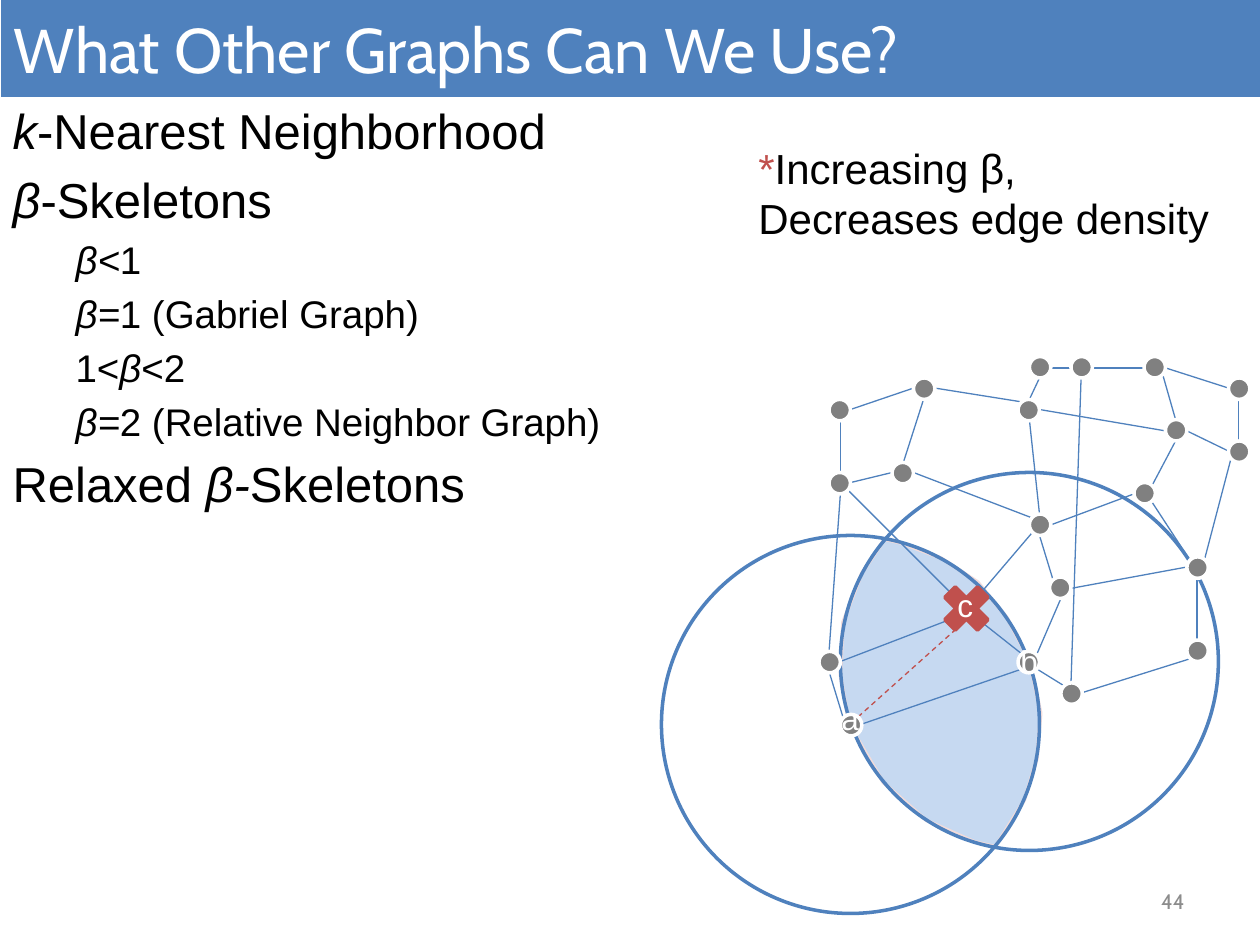
"""Build the slide about alternative neighborhood graphs."""
from lxml.etree import SubElement
from pptx import Presentation
from pptx.dml.color import RGBColor
from pptx.enum.dml import MSO_LINE
from pptx.enum.shapes import MSO_CONNECTOR, MSO_SHAPE
from pptx.enum.text import MSO_ANCHOR, MSO_AUTO_SIZE, PP_ALIGN
from pptx.oxml.ns import qn
from pptx.util import Inches, Pt

BLUE = RGBColor(0x4F, 0x81, 0xBD)
PALE_BLUE = RGBColor(0xC6, 0xD9, 0xF1)
PALE_RED = RGBColor(0xF2, 0xDC, 0xDB)
RED = RGBColor(0xC0, 0x50, 0x4D)
GRAY = RGBColor(0x80, 0x80, 0x80)
NUMBER_GRAY = RGBColor(0x8C, 0x8C, 0x8C)
WHITE = RGBColor(0xFF, 0xFF, 0xFF)
BLACK = RGBColor(0x00, 0x00, 0x00)


def add_span(paragraph, text, size=18, color=BLACK, font="Arial", italic=False):
    """Append a formatted run to a paragraph."""
    span = paragraph.add_run()
    span.text = text
    span.font.size = Pt(size)
    span.font.name = font
    span.font.italic = italic
    span.font.color.rgb = color


def paint(shape, fill, line):
    """Give a shape its fill and a two-point outline."""
    shape.shadow.inherit = False
    if fill is None:
        shape.fill.background()
    else:
        shape.fill.solid()
        shape.fill.fore_color.rgb = fill
    shape.line.color.rgb = line
    shape.line.width = Pt(2)


deck = Presentation()
deck.slide_width, deck.slide_height = Inches(10), Inches(7.5)
page = deck.slides.add_slide(deck.slide_layouts[1])
shapes = page.shapes

title = shapes.title
title.left, title.top = Inches(0.01), Inches(0)
title.width, title.height = Inches(10), Inches(0.77)
title.fill.solid()
title.fill.fore_color.rgb = BLUE
frame = title.text_frame
frame.auto_size = MSO_AUTO_SIZE.NONE
frame.vertical_anchor = MSO_ANCHOR.MIDDLE
frame.paragraphs[0].alignment = PP_ALIGN.LEFT
add_span(frame.paragraphs[0], "What Other Graphs Can We Use?", size=36, color=WHITE, font="Cabin")

OUTLINE = [
    (0, [("k", True), ("-Nearest Neighborhood", False)]),
    (0, [("β", True), ("-Skeletons", False)]),
    (1, [("β<", True), ("1", False)]),
    (1, [("β=", True), ("1 (Gabriel Graph)", False)]),
    (1, [("1<", False), ("β", True), ("<2", False)]),
    (1, [("β=", True), ("2 (Relative Neighbor Graph)", False)]),
    (0, [("Relaxed ", False), ("β-", True), ("Skeletons", False)]),
]
body = page.placeholders[1]
body.left, body.top = Inches(0), Inches(0.75)
body.width, body.height = Inches(10), Inches(3.48)
frame = body.text_frame
frame.auto_size = MSO_AUTO_SIZE.NONE
for index, (level, spans) in enumerate(OUTLINE):
    paragraph = frame.add_paragraph() if index else frame.paragraphs[0]
    paragraph.level = level
    properties = paragraph._p.get_or_add_pPr()
    properties.set("marL", str(Inches(0.38 + 0.5 * level)))
    properties.set("indent", str(Inches(-0.38)))
    SubElement(properties, qn("a:buNone"))
    if index == 0:
        paragraph.space_before = Pt(0)
    for text, italic in spans:
        add_span(paragraph, text, size=22 if level else 28, italic=italic)

LENS = [
    (7.02, 4.28), (6.84, 4.55), (6.69, 4.94), (6.67, 5.36), (6.74, 5.75), (7.01, 6.21),
    (7.35, 6.51), (7.73, 6.68), (7.9, 6.72), (8.13, 6.35), (8.23, 6.02), (8.26, 5.66),
    (8.17, 5.24), (7.99, 4.9), (7.76, 4.62), (7.47, 4.43), (7.15, 4.31),
]
points = [(Inches(x), Inches(y)) for x, y in LENS]
builder = shapes.build_freeform(*points[0])
builder.add_line_segments(points[1:], close=True)
paint(builder.convert_to_shape(), PALE_BLUE, PALE_RED)

EDGES = [
    (6.67, 3.33, 6.67, 3.75), (6.75, 3.25, 7.25, 3.08), (7.08, 3.75, 6.75, 3.83),
    (6.69, 5.69, 6.58, 5.33), (7.61, 4.89, 6.67, 5.25), (7.33, 3.17, 7.17, 3.67),
    (7.42, 3.08, 8.11, 3.19), (8.5, 2.92, 8.33, 2.92), (8.25, 3, 8.17, 3.17),
    (8.17, 3.33, 8.25, 4.08), (7.73, 4.89, 8.11, 5.19), (8.23, 5.31, 8.44, 5.44),
    (8.42, 4.75, 8.23, 5.19), (8.25, 4.25, 8.36, 4.61), (8.33, 4.17, 9, 3.92),
    (8.58, 5.5, 9.44, 5.23), (9.5, 4.58, 9.5, 5.08), (9.14, 3.98, 9.44, 4.44),
    (9.33, 3.5, 9.14, 3.86), (8.67, 2.92, 9.08, 2.92), (9.23, 2.98, 9.33, 3.33),
    (9.42, 3.42, 9.75, 3.58), (9.83, 3.17, 9.83, 3.5), (6.67, 3.92, 6.58, 5.17),
    (8.19, 4.11, 7.25, 3.75), (6.73, 3.89, 7.61, 4.77), (8.58, 3, 8.5, 5.42),
    (9.75, 3.08, 9.25, 2.92), (9.42, 4.5, 8.5, 4.67), (7.73, 4.77, 8.19, 4.23),
    (8.25, 3.25, 9.25, 3.42), (6.83, 5.75, 8.11, 5.31), (9.77, 3.64, 9.56, 4.44),
]
REMOVED_EDGE = (6.81, 5.69, 7.67, 4.92)
for edge in EDGES + [REMOVED_EDGE]:
    connector = shapes.add_connector(MSO_CONNECTOR.STRAIGHT, *map(Inches, edge))
    SubElement(connector._element.spPr, qn("a:effectLst"))
    connector.line.width = Pt(0.75)
    connector.line.color.rgb = BLUE
    if edge == REMOVED_EDGE:
        connector.line.color.rgb = RED
        connector.line.dash_style = MSO_LINE.DASH

for left, top in [(5.25, 4.25), (6.67, 3.75)]:
    circle = shapes.add_shape(MSO_SHAPE.OVAL, Inches(left), Inches(top), Inches(3), Inches(3))
    paint(circle, None, BLUE)

NODES = [
    (9.42, 4.42), (8.33, 4.58), (7.58, 4.75), (8.42, 5.42), (9.42, 5.08), (6.58, 3.17),
    (7.25, 3), (8.17, 2.83), (8.5, 2.83), (9.75, 3), (9.25, 3.33), (7.08, 3.67),
    (8.17, 4.08), (9, 3.83), (8.08, 3.17), (9.08, 2.83), (8.08, 5.17), (6.58, 3.75),
    (6.5, 5.17), (6.67, 5.67), (9.75, 3.5),
]
for left, top in NODES:
    node = shapes.add_shape(MSO_SHAPE.OVAL, Inches(left), Inches(top), Inches(0.17), Inches(0.17))
    paint(node, GRAY, WHITE)

cross = shapes.add_shape(MSO_SHAPE.MATH_MULTIPLY, Inches(7.42), Inches(4.58), Inches(0.5), Inches(0.5))
paint(cross, RED, RED)

for letter, left, top in [("c", 7.5, 4.6), ("a", 6.58, 5.5), ("b", 8, 5.05)]:
    label = shapes.add_textbox(Inches(left), Inches(top), Inches(0.34), Inches(0.4))
    label.text_frame.word_wrap = False
    add_span(label.text_frame.paragraphs[0], letter, color=WHITE)

remark = shapes.add_textbox(Inches(5.92), Inches(1.08), Inches(3.82), Inches(0.91))
frame = remark.text_frame
frame.word_wrap = False
add_span(frame.paragraphs[0], "*", size=24, color=RED)
add_span(frame.paragraphs[0], "Increasing β,", size=24)
add_span(frame.add_paragraph(), "Decreases edge density", size=24)

number = shapes.add_textbox(Inches(7.17), Inches(6.95), Inches(2.33), Inches(0.4))
frame = number.text_frame
frame.word_wrap = True
frame.vertical_anchor = MSO_ANCHOR.MIDDLE
frame.paragraphs[0].alignment = PP_ALIGN.RIGHT
add_span(frame.paragraphs[0], "44", size=12, color=NUMBER_GRAY, font="Cabin")

deck.save("out.pptx")
